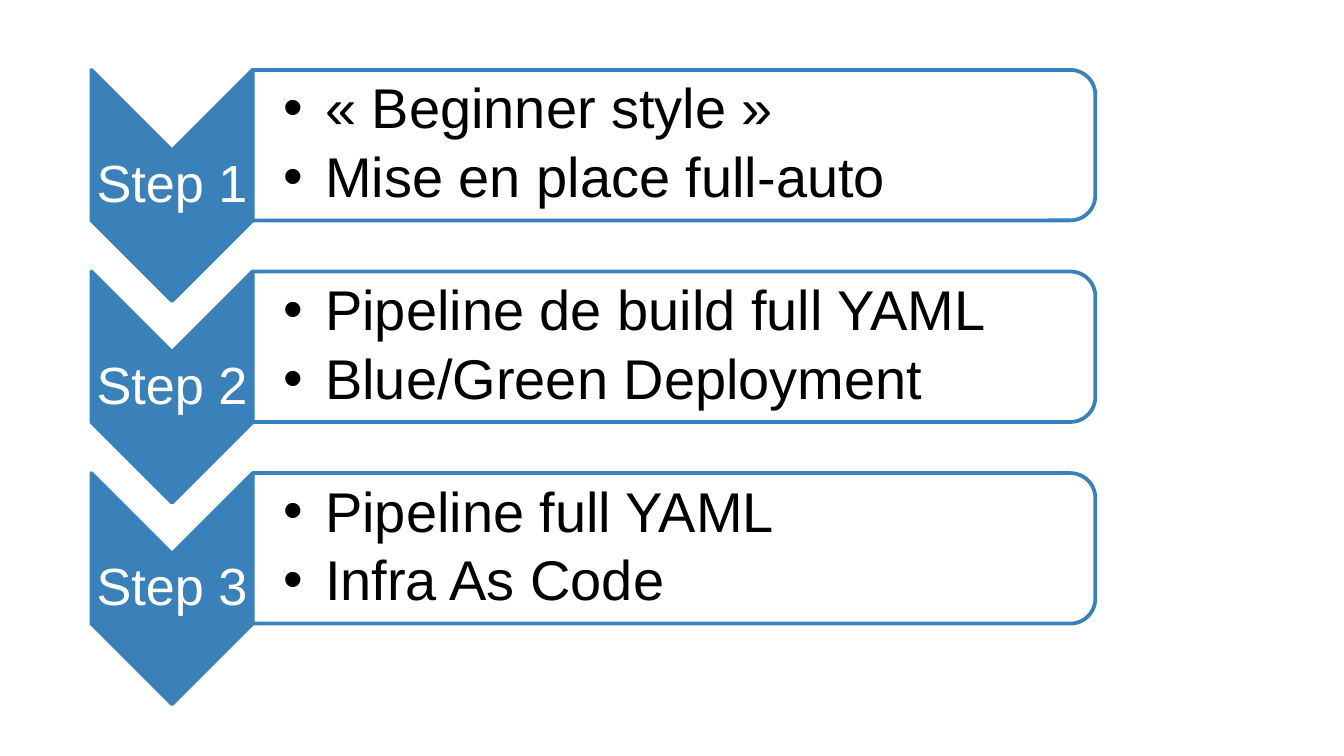
from lxml import etree
from pptx import Presentation
from pptx.dml.color import RGBColor
from pptx.enum.shapes import MSO_SHAPE
from pptx.enum.text import MSO_ANCHOR, PP_ALIGN
from pptx.oxml.ns import qn
from pptx.util import Inches, Pt

STEPS = [
    ("Step 1", ["«\u00a0Beginner style\u00a0»", "Mise en place full-auto"]),
    ("Step 2", ["Pipeline de build full YAML", "Blue/Green Deployment"]),
    ("Step 3", ["Pipeline full YAML", "Infra As Code"]),
]
BLUE, WHITE, BLACK = "3A81BA", "FFFFFF", "000000"

# Grid: one row per step, chevron column then panel column
TOP, PITCH = 0.52, 1.5
LEFT, CHEVRON_W, CHEVRON_H = 0.68, 1.2, 1.72
PANEL_W, PANEL_H = 6.27, 1.12
LABEL_H, BULLETS_W, BULLETS_H = 0.52, 6.21, 1.01
INDENT = Inches(0.31)


def rgb(value):
    return RGBColor.from_string(value)


def add_turned(slide, preset, left, top, width, height, fill):
    """Add a shape turned by 90 degrees that covers the given area."""
    shift = (width - height) / 2
    shape = slide.shapes.add_shape(preset, Inches(left + shift), Inches(top - shift),
                                   Inches(height), Inches(width))
    shape.rotation = 90
    shape.shadow.inherit = False
    shape.fill.solid()
    shape.fill.fore_color.rgb = rgb(fill)
    shape.line.color.rgb = rgb(BLUE)
    shape.line.width = Pt(2)
    return shape


def set_opacity(shape, percent):
    color = shape.fill._xPr.find(qn("a:solidFill"))[0]
    etree.SubElement(color, qn("a:alpha")).set("val", str(percent * 1000))


def add_bullet(paragraph):
    properties = paragraph._p.get_or_add_pPr()
    properties.set("marL", str(INDENT))
    properties.set("indent", str(-INDENT))
    bullet_color = etree.SubElement(properties, qn("a:buClr"))
    etree.SubElement(bullet_color, qn("a:srgbClr")).set("val", BLACK)
    etree.SubElement(properties, qn("a:buFont")).set("typeface", "Arial")
    etree.SubElement(properties, qn("a:buChar")).set("char", "•")


def add_text(slide, lines, left, top, width, height, size, color, inset=0.02, bullets=False):
    frame = slide.shapes.add_textbox(Inches(left), Inches(top),
                                     Inches(width), Inches(height)).text_frame
    frame.word_wrap = True
    frame.vertical_anchor = MSO_ANCHOR.MIDDLE
    frame.margin_left = Inches(inset)
    frame.margin_right = frame.margin_top = frame.margin_bottom = Inches(0.02)
    frame.text = "\n".join(lines)
    for paragraph in frame.paragraphs:
        if bullets:
            paragraph.level = 1
            add_bullet(paragraph)
        else:
            paragraph.alignment = PP_ALIGN.CENTER
        paragraph.line_spacing = 0.9
        paragraph.space_after = Pt(4.5)
        for run in paragraph.runs:
            run.font.name = "Arial"
            run.font.size = Pt(size)
            run.font.color.rgb = rgb(color)


# Widescreen slide, 16:9
prs = Presentation()
prs.slide_width = Inches(10)
prs.slide_height = prs.slide_width * 9 // 16
slide = prs.slides.add_slide(prs.slide_layouts[6])

panel_left = LEFT + CHEVRON_W
for row, (label, points) in enumerate(STEPS):
    top = TOP + row * PITCH

    # Chevron with the step name
    add_turned(slide, MSO_SHAPE.CHEVRON, LEFT, top, CHEVRON_W, CHEVRON_H, BLUE)
    add_text(slide, [label], LEFT, top + (CHEVRON_H - LABEL_H) / 2,
             CHEVRON_W, LABEL_H, 28, WHITE)

    # Panel with the step's points
    panel = add_turned(slide, MSO_SHAPE.ROUND_2_SAME_RECTANGLE, panel_left, top,
                       PANEL_W, PANEL_H, WHITE)
    set_opacity(panel, 90)
    add_text(slide, points, panel_left, top + (PANEL_H - BULLETS_H) / 2,
             BULLETS_W, BULLETS_H, 30, BLACK, inset=0.23, bullets=True)

prs.save("out.pptx")
